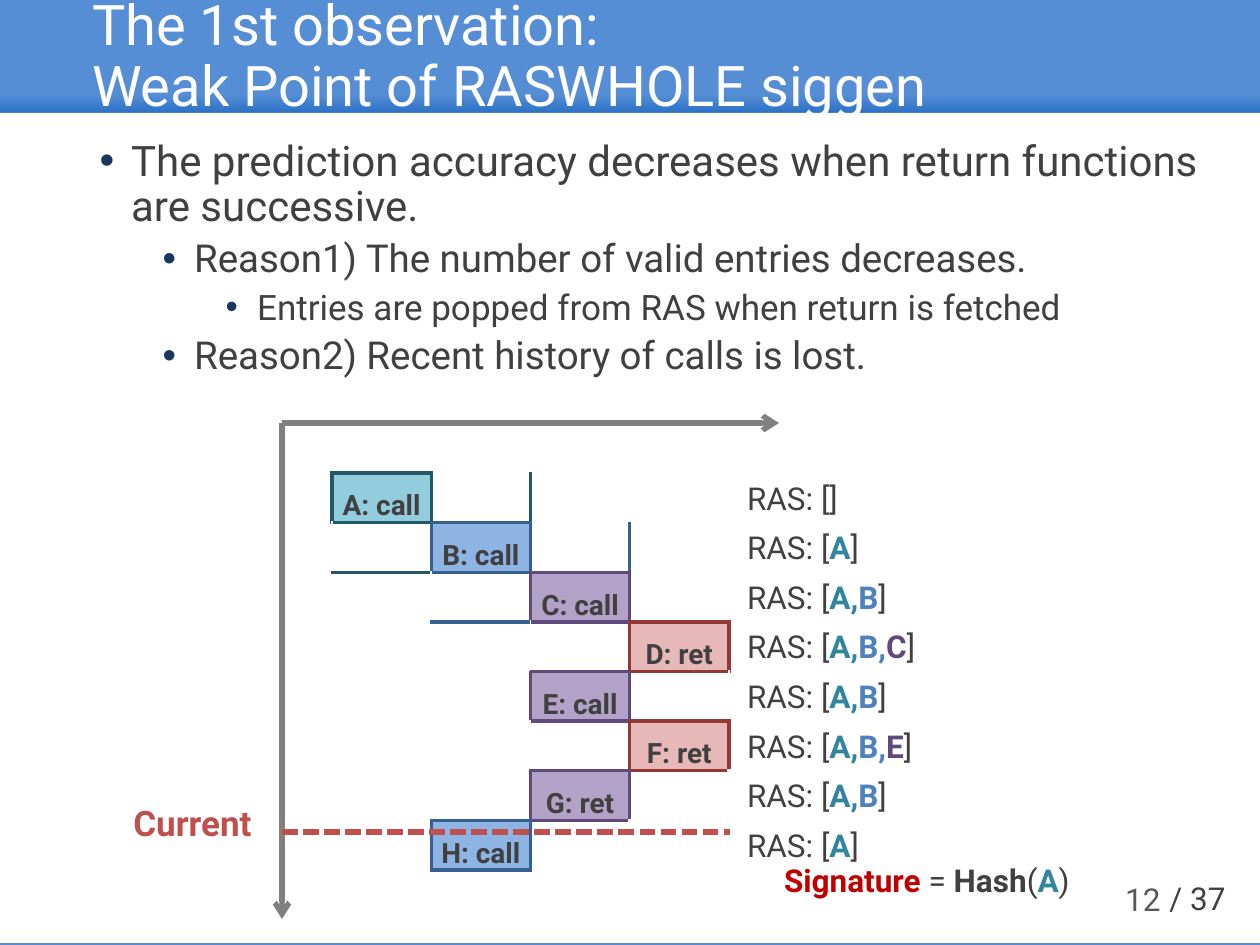
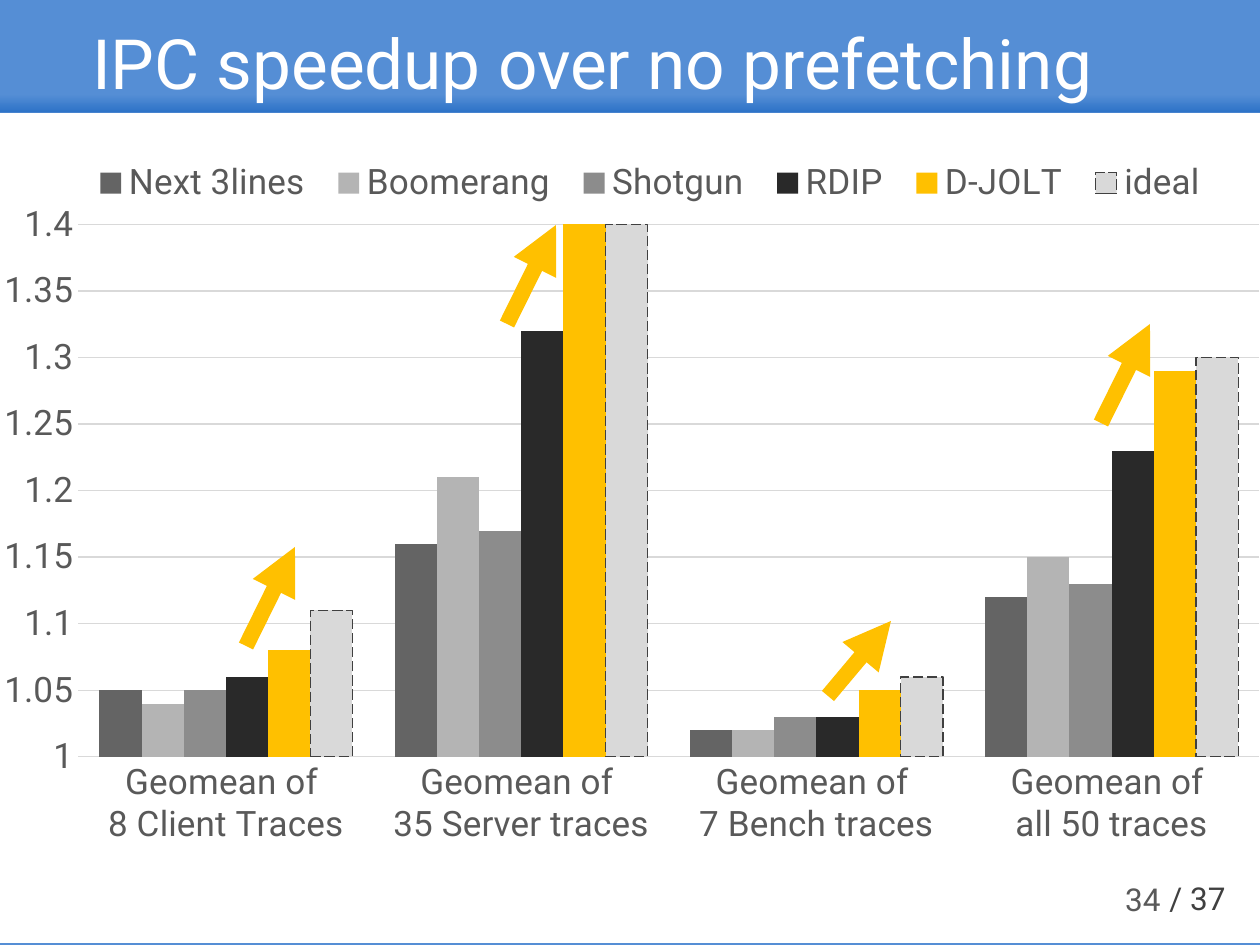
import pptx
import pptx.util
import pptx.dml.color
import pptx.chart.data
import pptx.enum.chart
import pptx.enum.dml
import pptx.enum.shapes
import pptx.enum.text
import pptx.oxml
import pptx.oxml.ns

RGB = pptx.dml.color.RGBColor
ALIGN = pptx.enum.text.PP_ALIGN
ANCHOR = pptx.enum.text.MSO_ANCHOR
SHAPE = pptx.enum.shapes.MSO_SHAPE
DASH = pptx.enum.dml.MSO_LINE
TICK = pptx.enum.chart.XL_TICK_MARK
qn = pptx.oxml.ns.qn

SCALE = 914400 / 126
WIDE, HIGH = 1260, 945
FONT = "Roboto"

WHITE = RGB(0xFF, 0xFF, 0xFF)
BAND = RGB(0x55, 0x8E, 0xD5)
EDGE = RGB(0x2A, 0x70, 0xC6)
INK = RGB(0x40, 0x40, 0x40)
DIM = RGB(0x59, 0x59, 0x59)
NAVY = RGB(0x17, 0x37, 0x5E)
GRAY = RGB(0x80, 0x80, 0x80)
PALE = RGB(0xD9, 0xD9, 0xD9)
RED = RGB(0xC0, 0x50, 0x4D)
DEEP = RGB(0xC0, 0x00, 0x00)
GOLD = RGB(0xFF, 0xC0, 0x00)
TEAL = RGB(0x31, 0x85, 0x9C)
BLUE = RGB(0x4F, 0x81, 0xBD)
PLUM = RGB(0x60, 0x4A, 0x7B)

AQUA_BOX = (RGB(0x93, 0xCD, 0xDD), RGB(0x21, 0x59, 0x68))
BLUE_BOX = (RGB(0x8E, 0xB4, 0xE3), RGB(0x37, 0x60, 0x92))
PLUM_BOX = (RGB(0xB3, 0xA2, 0xC7), PLUM)
ROSE_BOX = (RGB(0xE6, 0xB9, 0xB8), RGB(0x95, 0x37, 0x35))

CALLS = [
    ("A: call", 0, AQUA_BOX, ""),
    ("B: call", 1, BLUE_BOX, "A"),
    ("C: call", 2, PLUM_BOX, "AB"),
    ("D: ret", 3, ROSE_BOX, "ABC"),
    ("E: call", 2, PLUM_BOX, "AB"),
    ("F: ret", 3, ROSE_BOX, "ABE"),
    ("G: ret", 2, PLUM_BOX, "AB"),
    ("H: call", 1, BLUE_BOX, "A"),
]
STACK = {"A": TEAL, "B": BLUE, "C": PLUM, "E": PLUM}

GROUPS = ["Geomean of \n8 Client Traces", "Geomean of \n35 Server traces",
          "Geomean of \n7 Bench traces", "Geomean of \nall 50 traces"]
SERIES = [
    ("Next 3lines", (1.05, 1.16, 1.02, 1.12), RGB(0x64, 0x64, 0x64)),
    ("Boomerang", (1.04, 1.21, 1.02, 1.15), RGB(0xB4, 0xB4, 0xB4)),
    ("Shotgun", (1.05, 1.17, 1.03, 1.13), RGB(0x8C, 0x8C, 0x8C)),
    ("RDIP", (1.06, 1.32, 1.03, 1.23), RGB(0x29, 0x29, 0x29)),
    ("D-JOLT", (1.08, 1.4, 1.05, 1.29), GOLD),
    ("ideal", (1.11, 1.4, 1.06, 1.3), PALE),
]


def px(*nums):
    return [pptx.util.Emu(round(n * SCALE)) for n in nums]


def node(text):
    name = text.split()[0].strip("<>/")
    tail = text[1 + len(name):]
    spaces = pptx.oxml.ns.nsdecls("a", "c")
    return pptx.oxml.parse_xml(f"<{name} {spaces}{tail}")


def place(item, first, x, y, w, h):
    for old in item.findall(qn("c:layout")):
        item.remove(old)
    inner = '<c:layoutTarget val="inner"/>' if first == 0 else ""
    parts = "".join(f'<c:{k} val="{v}"/>' for k, v in (
        ("xMode", "edge"), ("yMode", "edge"), ("x", x), ("y", y), ("w", w), ("h", h)))
    item.insert(first, node(f"<c:layout ><c:manualLayout>{inner}{parts}</c:manualLayout></c:layout>"))


class Deck:
    def __init__(self):
        self.show = pptx.Presentation()
        self.show.slide_width, self.show.slide_height = px(WIDE, HIGH)
        fill = self.show.slide_master.background.fill
        fill.solid()
        fill.fore_color.rgb = BAND
        self.slide = None

    def start(self, kind, title, box, size, page):
        first = self.slide is None
        self.slide = self.show.slides.add_slide(self.show.slide_layouts[kind])
        if first:
            self.frame()
        head = self.slide.shapes.title
        self.move(head, box)
        self.fit(head.text_frame, 5, ANCHOR.MIDDLE)
        par = head.text_frame.paragraphs[0]
        par.text = title
        par.alignment = ALIGN.LEFT
        par.line_spacing = 0.9
        self.style(par, size, WHITE)
        self.label((890, 874, 283, 50), [(page, DIM, False)], 18, ALIGN.RIGHT)

    def frame(self):
        strip = self.block((0, 94, WIDE, 20), BAND)
        strip.fill.gradient()
        strip.fill.gradient_angle = 270
        for stop, color in zip(strip.fill.gradient_stops, (BAND, EDGE)):
            stop.color.rgb = color
        panel = self.block((0, 113, WIDE, 830), WHITE)
        total = self.label((1157, 873, 100, 50), [("/ 37", INK, False)], 18, anchor=ANCHOR.TOP)
        for num, item in enumerate((strip, panel, total), 20):
            item.element.nvSpPr.cNvPr.set("id", str(num))
            self.show.slide_master.shapes.element.append(item.element)

    def move(self, item, box):
        item.left, item.top, item.width, item.height = px(*box)

    def fit(self, frame, inset, anchor):
        frame.auto_size = pptx.enum.text.MSO_AUTO_SIZE.NONE
        frame.vertical_anchor = anchor
        if inset is not None:
            edge, = px(inset)
            frame.margin_left = frame.margin_right = edge
            frame.margin_top = frame.margin_bottom = edge

    def font(self, font, size, color, bold=False):
        font.name = FONT
        font.size = pptx.util.Pt(size)
        font.color.rgb = color
        font.bold = bold

    def style(self, par, size, color, bold=False):
        for run in par.runs:
            self.font(run.font, size, color, bold)

    def block(self, box, color):
        item = self.slide.shapes.add_shape(SHAPE.RECTANGLE, *px(*box))
        item.shadow.inherit = False
        item.fill.solid()
        item.fill.fore_color.rgb = color
        item.line.fill.background()
        return item

    def label(self, box, parts, size, align=ALIGN.LEFT, inset=None, anchor=ANCHOR.MIDDLE, back=None):
        if back is None:
            item = self.slide.shapes.add_textbox(*px(*box))
        else:
            item = self.block(box, back)
        frame = item.text_frame
        frame.word_wrap = align == ALIGN.RIGHT
        self.fit(frame, inset, anchor)
        par = frame.paragraphs[0]
        par.alignment = align
        for text, color, bold in parts:
            run = par.add_run()
            run.text = text
            self.font(run.font, size, color, bold)
        return item

    def list(self, box, lines):
        item = self.slide.placeholders[1]
        self.move(item, box)
        frame = item.text_frame
        self.fit(frame, None, ANCHOR.TOP)
        frame.text = "\n".join(text for _, text in lines)
        for par, (level, _) in zip(frame.paragraphs, lines):
            par.level = level
            par.line_spacing = 0.9
            par.space_before = pptx.util.Pt(5 if level else 10)
            self.style(par, 24 - 2 * level, INK)
            props = par._p.get_or_add_pPr()
            props.set("marL", str(228600 + 457200 * level))
            props.set("indent", "-228600")
            props.append(node(f'<a:buClr ><a:srgbClr val="{NAVY}"/></a:buClr>'))
            props.append(node('<a:buFont typeface="Arial"/>'))
            props.append(node('<a:buChar char="•"/>'))

    def line(self, ends, color, width, tip=None, dash=None):
        item = self.slide.shapes.add_connector(pptx.enum.shapes.MSO_CONNECTOR.STRAIGHT, *px(*ends))
        item.line.color.rgb = color
        item.line.width = pptx.util.Pt(width)
        if dash:
            item.line.dash_style = dash
        if tip:
            item.line._get_or_add_ln().append(node(f'<a:tailEnd type="{tip}"/>'))
        item.element.spPr.append(node("<a:effectLst />"))

    def grid(self, box, calls):
        rows, cols = len(calls), 4
        table = self.slide.shapes.add_table(rows, cols, *px(*box)).table
        table.first_row = table.horz_banding = False
        edges = {}
        for row, (_, col, (_, color), _) in enumerate(calls):
            for side in "LRTB":
                edges[row, col, side] = color
            edges[row, col + 1, "L"] = edges[row, col - 1, "R"] = color
            edges[row + 1, col, "T"] = edges[row - 1, col, "B"] = color
        for row, (text, spot, (tint, _), _) in enumerate(calls):
            for col in range(cols):
                cell = table.cell(row, col)
                cell.margin_left, cell.margin_right, cell.margin_top, cell.margin_bottom = px(5, 5, 5, 0)
                cell.vertical_anchor = ANCHOR.BOTTOM
                props = cell._tc.get_or_add_tcPr()
                for side in "LRTB":
                    color = edges.get((row, col, side), WHITE if row > 5 else None)
                    if color:
                        props.append(node(f'<a:ln{side} w="28575"><a:solidFill>'
                                          f'<a:srgbClr val="{color}"/></a:solidFill></a:ln{side}>'))
                cell.fill.solid()
                cell.fill.fore_color.rgb = tint if col == spot else WHITE
                if col == spot:
                    par = cell.text_frame.paragraphs[0]
                    par.text = text
                    par.alignment = ALIGN.CENTER
                    self.style(par, 16, INK, True)

    def chart(self, box, groups, series):
        data = pptx.chart.data.CategoryChartData()
        data.categories = groups
        for name, vals, _ in series:
            data.add_series(name, vals)
        kind = pptx.enum.chart.XL_CHART_TYPE.COLUMN_CLUSTERED
        chart = self.slide.shapes.add_chart(kind, *px(*box), data).chart
        chart.has_title = False
        self.font(chart.font, 20, DIM)
        plot = chart.plots[0]
        plot.gap_width, plot.overlap = 100, 0
        plot.vary_by_categories = False
        for bars, (_, _, color) in zip(plot.series, series):
            bars.format.fill.solid()
            bars.format.fill.fore_color.rgb = color
        edge = bars.format.line
        edge.color.rgb = INK
        edge.width = pptx.util.Pt(0.75)
        edge.dash_style = DASH.LONG_DASH
        base, scale = chart.category_axis, chart.value_axis
        for axis in (base, scale):
            axis.major_tick_mark = axis.minor_tick_mark = TICK.NONE
            self.font(axis.tick_labels.font, 20, DIM)
        scale.minimum_scale, scale.maximum_scale, scale.major_unit = 1, 1.4, 0.05
        scale.tick_labels.number_format = "General"
        scale.tick_labels.number_format_is_linked = False
        scale.format.line.fill.background()
        for rule in (base.format.line, scale.major_gridlines.format.line):
            rule.color.rgb = PALE
            rule.width = pptx.util.Pt(0.75)
        chart.has_legend = True
        chart.legend.position = pptx.enum.chart.XL_LEGEND_POSITION.BOTTOM
        chart.legend.include_in_layout = False
        self.font(chart.legend.font, 20, DIM)
        root = chart.element
        place(root.find(".//" + qn("c:plotArea")), 0, 0.06, 0.13, 0.94, 0.71)
        place(root.find(".//" + qn("c:legend")), 1, 0.06, 0.04, 0.91, 0.07)


def main():
    deck = Deck()

    deck.start(1, "The 1st observation: \nWeak Point of RASWHOLE siggen", (87, 10, 1173, 96), 32, "12")
    deck.list((87, 134, 1152, 718), [
        (0, "The prediction accuracy decreases when return functions are successive."),
        (1, "Reason1) The number of valid entries decreases."),
        (2, "Entries are popped from RAS when return is fetched"),
        (1, "Reason2) Recent history of calls is lost."),
    ])
    top, side = 473, 397
    deck.grid((332, top, side, side), CALLS)
    for end in ((282, 919), (779, 423)):
        deck.line((282, 423, *end), GRAY, 3, "arrow")
    deck.line((282, 832, 730, 832), RED, 3, dash=DASH.SQUARE_DOT)
    deck.label((121, 795, 151, 55), [("Current", RED, True)], 20, anchor=ANCHOR.TOP)
    deck.label((779, 857, 310, 45), [
        ("Signature", DEEP, True), (" = ", INK, False), ("Hash", INK, True),
        ("(", INK, False), ("A", TEAL, True), (")", INK, False),
    ], 18, inset=5, back=WHITE)
    for row, (_, _, _, stack) in enumerate(CALLS):
        marks = [(name + ("," if name != stack[-1] else ""), STACK[name], True) for name in stack]
        deck.label((742, top + row * side // len(CALLS), 281, 50),
                   [("RAS: [", INK, False), *marks, ("]", INK, False)], 18, inset=5)

    deck.start(5, "IPC speedup over no prefetching", (87, 19, 1086, 96), 39.6, "34")
    deck.chart((3, 127, WIDE - 3, 750), GROUPS, SERIES)
    for x, y, run, rise in ((1101, 423, 49, 99), (828, 696, 63, 75), (507, 324, 49, 99), (246, 646, 49, 99)):
        deck.line((x, y, x + run, y - rise), GOLD, 9, "triangle")

    deck.show.save("out.pptx")


if __name__ == "__main__":
    main()
